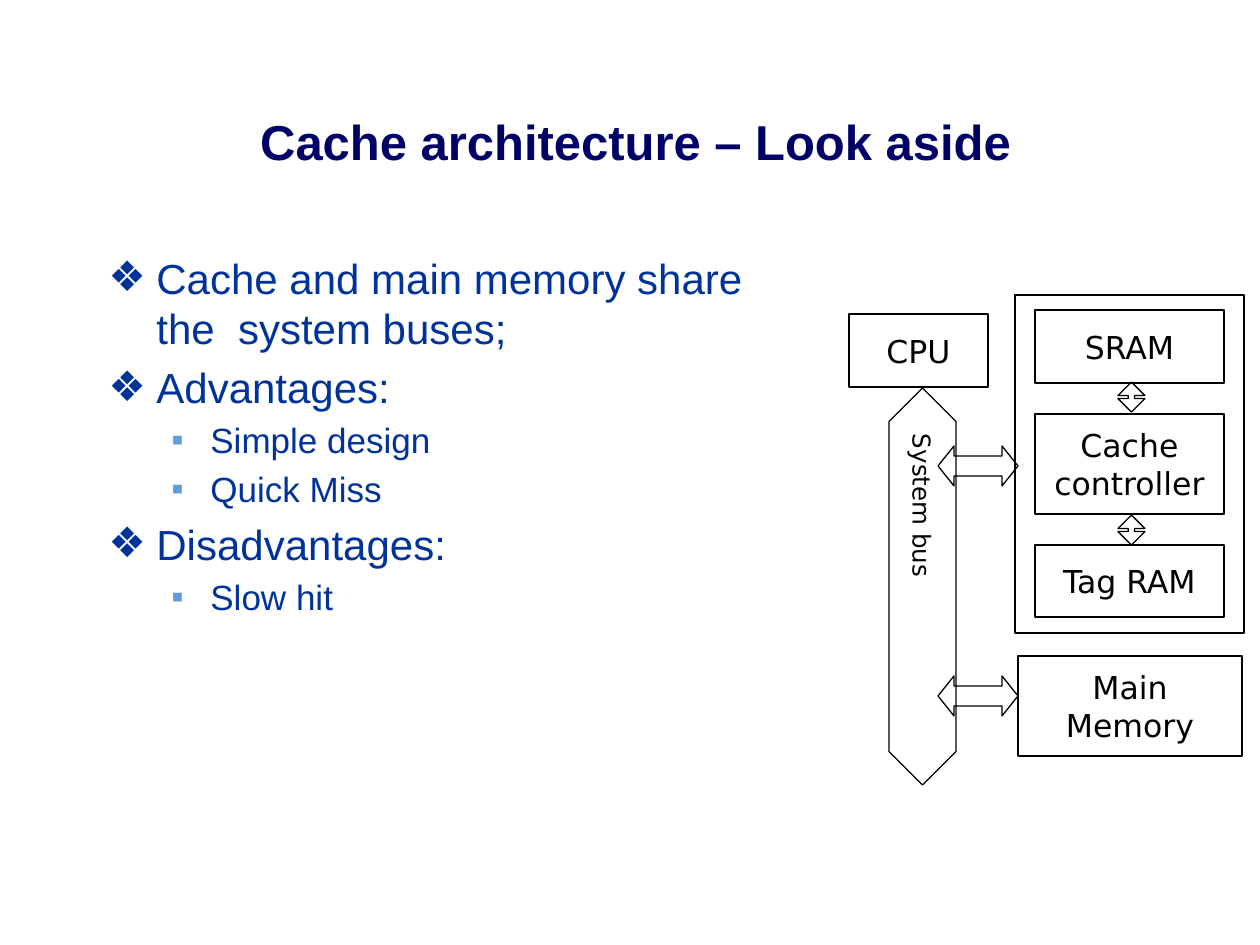
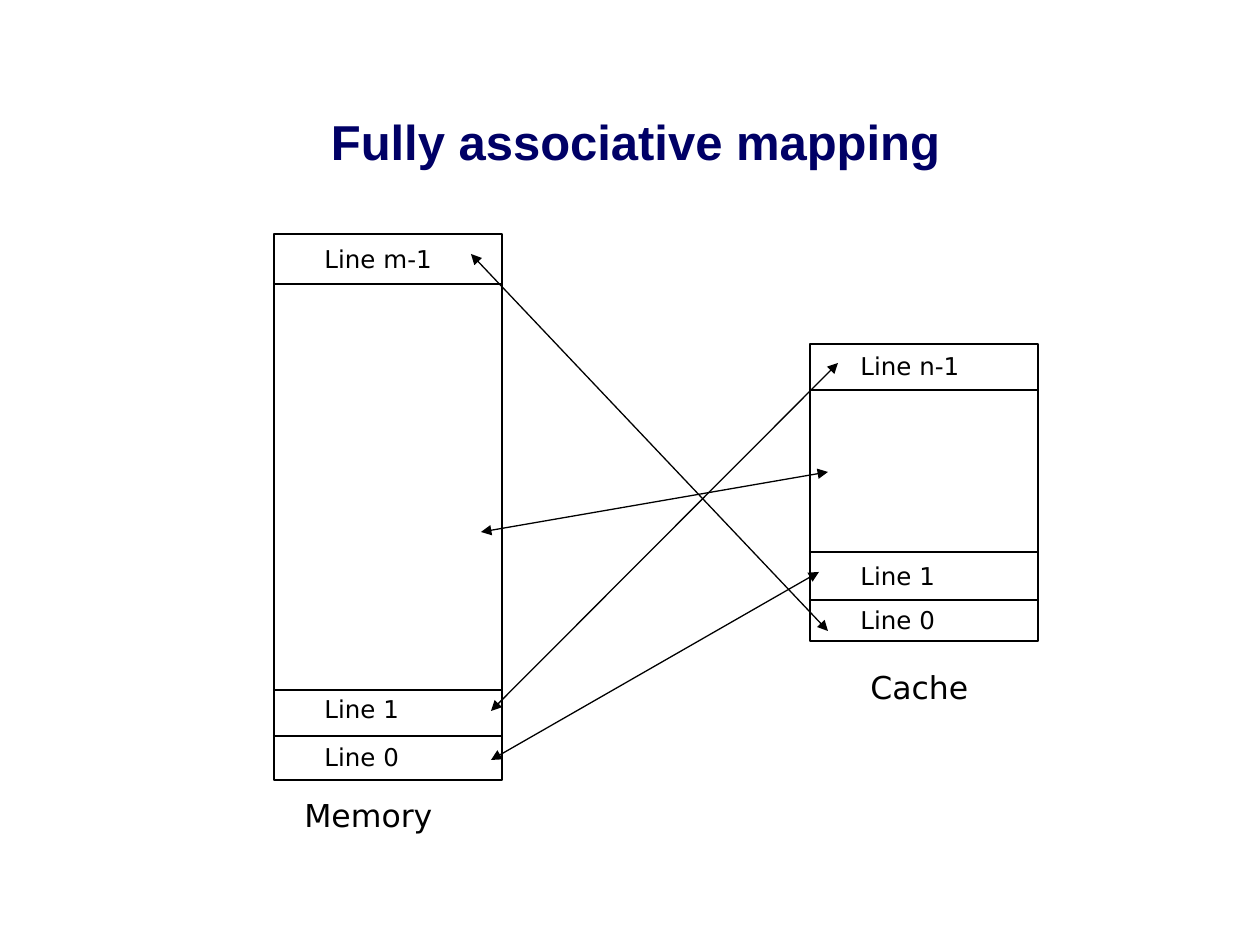
from dataclasses import dataclass

from lxml.etree import SubElement as Sub
from pptx import Presentation
from pptx.dml.color import RGBColor as Rgb
from pptx.enum.shapes import MSO_CONNECTOR as Link, MSO_SHAPE as Kind
from pptx.enum.text import MSO_ANCHOR as Anchor, PP_ALIGN as Align
from pptx.oxml.ns import qn
from pptx.util import Pt


@dataclass(frozen=True)
class Theme:
    ink: str = "000000"
    paper: str = "FFFFFF"
    navy: str = "000066"
    blue: str = "003399"
    sky: str = "5E9CDA"
    sans: str = "Arial"
    plain: str = "DejaVu Sans"
    head: int = 28
    point: int = 24
    sub: int = 20
    label: int = 18
    small: int = 14
    rule: float = 0.75


def px(n):
    return round(n * 914400 / 126)


class Deck:
    def __init__(self, theme):
        self.theme = theme
        self.show = Presentation()
        self.show.slide_width, self.show.slide_height = px(1260), px(945)
        self.slide = None

    def page(self, title):
        self.slide = self.show.slides.add_slide(self.show.slide_layouts[6])
        frame = self.frame(32, 105, 1207, 72)
        frame.vertical_anchor = Anchor.BOTTOM
        para = frame.paragraphs[0]
        para.alignment = Align.CENTER
        t = self.theme
        self.words(para, title, t.head, t.sans, t.navy, True)

    def frame(self, x, y, w, h):
        box = self.slide.shapes.add_textbox(px(x), px(y), px(w), px(h))
        box.text_frame.word_wrap = True
        return box.text_frame

    def words(self, para, text, size, face, tone, bold=False):
        for i, part in enumerate(text.split("\n")):
            if i:
                para.add_line_break()
            run = para.add_run()
            run.text = part
            font = run.font
            font.size, font.name, font.bold = Pt(size), face, bold
            font.color.rgb = Rgb.from_string(tone)

    def note(self, x, y, w, h, text, size):
        para = self.frame(x, y, w, h).paragraphs[0]
        self.words(para, text, size, self.theme.plain, self.theme.ink)

    def points(self, x, y, w, h, items):
        t = self.theme
        looks = (
            (t.point, 48, 48, "❖", t.blue),
            (t.sub, 102, 39, "▪", t.sky),
        )
        frame = self.frame(x, y, w, h)
        for i, (level, text) in enumerate(items):
            size, left, hang, mark, tone = looks[level]
            para = frame.add_paragraph() if i else frame.paragraphs[0]
            props = para._p.get_or_add_pPr()
            props.set("marL", str(px(left)))
            props.set("indent", str(-px(hang)))
            Sub(Sub(props, qn("a:buClr")), qn("a:srgbClr"), val=tone)
            Sub(props, qn("a:buFont"), typeface=t.sans)
            Sub(props, qn("a:buChar"), char=mark)
            para.level = level
            para.space_before = Pt(size * 0.2 if i else 0)
            self.words(para, text, size, t.sans, t.blue)

    def shape(self, kind, x, y, w, h, text="", size=None, fill=None):
        t = self.theme
        form = self.slide.shapes.add_shape(kind, px(x), px(y), px(w), px(h))
        form.shadow.inherit = False
        if fill:
            form.fill.solid()
            form.fill.fore_color.rgb = Rgb.from_string(fill)
        else:
            form.fill.background()
        self.stroke(form.line)
        if text:
            frame = form.text_frame
            frame.word_wrap = False
            frame.vertical_anchor = Anchor.MIDDLE
            para = frame.paragraphs[0]
            para.alignment = Align.CENTER
            self.words(para, text, size or t.label, t.plain, t.ink)
        return form

    def box(self, x, y, w, h, text="", fill=None):
        return self.shape(Kind.RECTANGLE, x, y, w, h, text, fill=fill)

    def arrow(self, kind, x, y, w, h, tip, text=""):
        form = self.shape(kind, x, y, w, h, text, self.theme.small)
        form.adjustments[0], form.adjustments[1] = 0.5, tip
        return form

    def stroke(self, line):
        line.color.rgb = Rgb.from_string(self.theme.ink)
        line.width = Pt(self.theme.rule)

    def line(self, x1, y1, x2, y2, tips=False):
        link = self.slide.shapes.add_connector(
            Link.STRAIGHT, px(x1), px(y1), px(x2), px(y2))
        self.stroke(link.line)
        props = link._element.spPr
        if tips:
            for end in ("a:headEnd", "a:tailEnd"):
                Sub(props.find(qn("a:ln")), qn(end), type="triangle")
        Sub(props, qn("a:effectLst"))

    def stack(self, x, y, h, rules, rows, name, shift, drop):
        t = self.theme
        wide = 228
        self.box(x, y, wide, h, fill=t.paper)
        for rule in rules:
            self.line(x - 1, rule, x + wide + 1, rule)
        for top, text in rows:
            self.note(x + 38, top, 159, 42, text, t.small)
        self.note(x + shift, y + h + drop, 166, 50, name, t.label)


def aside(deck):
    deck.page("Cache architecture – Look aside")
    for x, y, w, h, text in (
        (1035, 414, 189, 100, "Cache\ncontroller"),
        (1035, 545, 189, 72, "Tag RAM"),
        (1035, 310, 189, 73, "SRAM"),
        (1015, 295, 229, 338, ""),
        (1018, 656, 224, 100, "Main\nMemory"),
        (849, 314, 139, 73, "CPU"),
    ):
        deck.box(x, y, w, h, text)
    for y in (382, 515):
        deck.arrow(Kind.UP_DOWN_ARROW, 1118, y, 27, 30, 0.23)
    bus = deck.arrow(Kind.UP_DOWN_ARROW, 889, 388, 67, 397, 1.19, "System bus")
    bus.text_frame._txBody.bodyPr.set("vert", "eaVert")
    for y in (676, 446):
        deck.arrow(Kind.LEFT_RIGHT_ARROW, 938, y, 80, 40, 0.4)
    deck.points(96, 246, 684, 600, (
        (0, "Cache and main memory share the  system buses;"),
        (0, "Advantages:"),
        (1, "Simple design"),
        (1, "Quick Miss"),
        (0, "Disadvantages:"),
        (1, "Slow hit"),
    ))


def mapping(deck):
    deck.page("Fully associative mapping")
    deck.stack(810, 344, 297, (390, 552, 600),
               ((345, "Line n-1"), (555, "Line 1"), (599, "Line 0")),
               "Cache", 48, 21)
    deck.stack(274, 234, 546, (284, 690, 736),
               ((238, "Line m-1"), (688, "Line 1"), (736, "Line 0")),
               "Memory", 18, 10)
    for ends in (
        (491, 760, 819, 572),
        (491, 711, 838, 363),
        (471, 254, 828, 631),
        (481, 532, 828, 472),
    ):
        deck.line(*ends, tips=True)


def main():
    deck = Deck(Theme())
    aside(deck)
    mapping(deck)
    deck.show.save("out.pptx")


if __name__ == "__main__":
    main()
